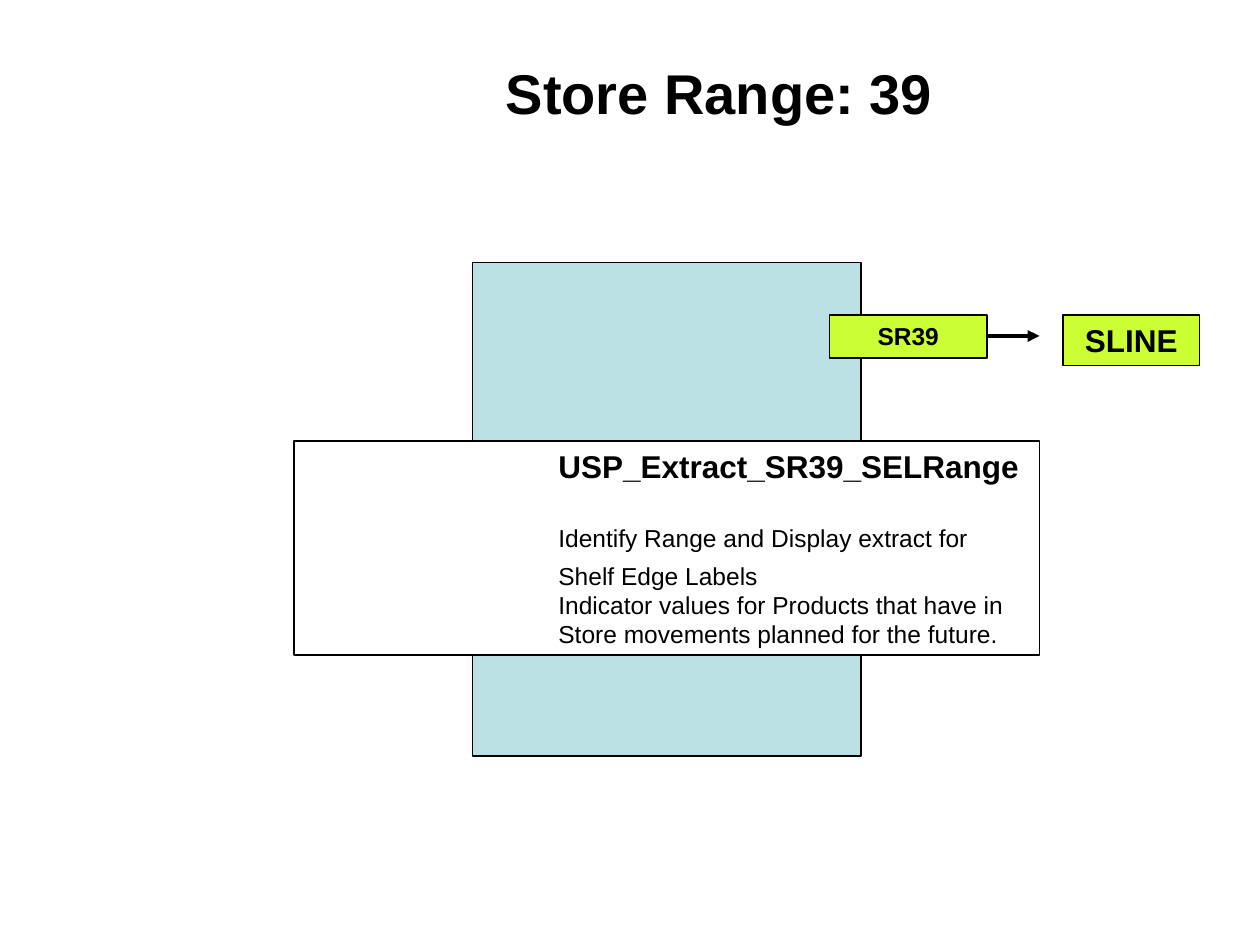
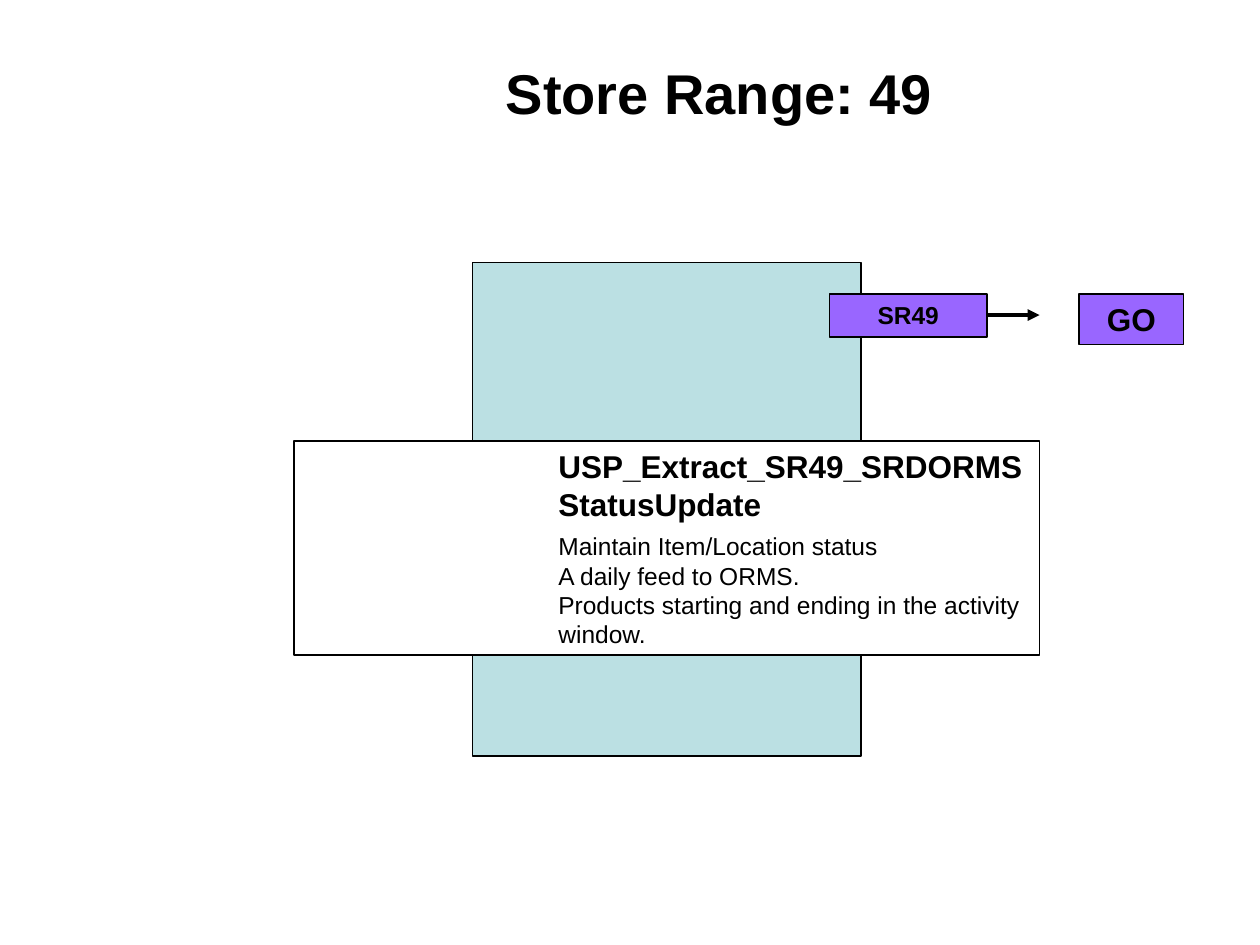
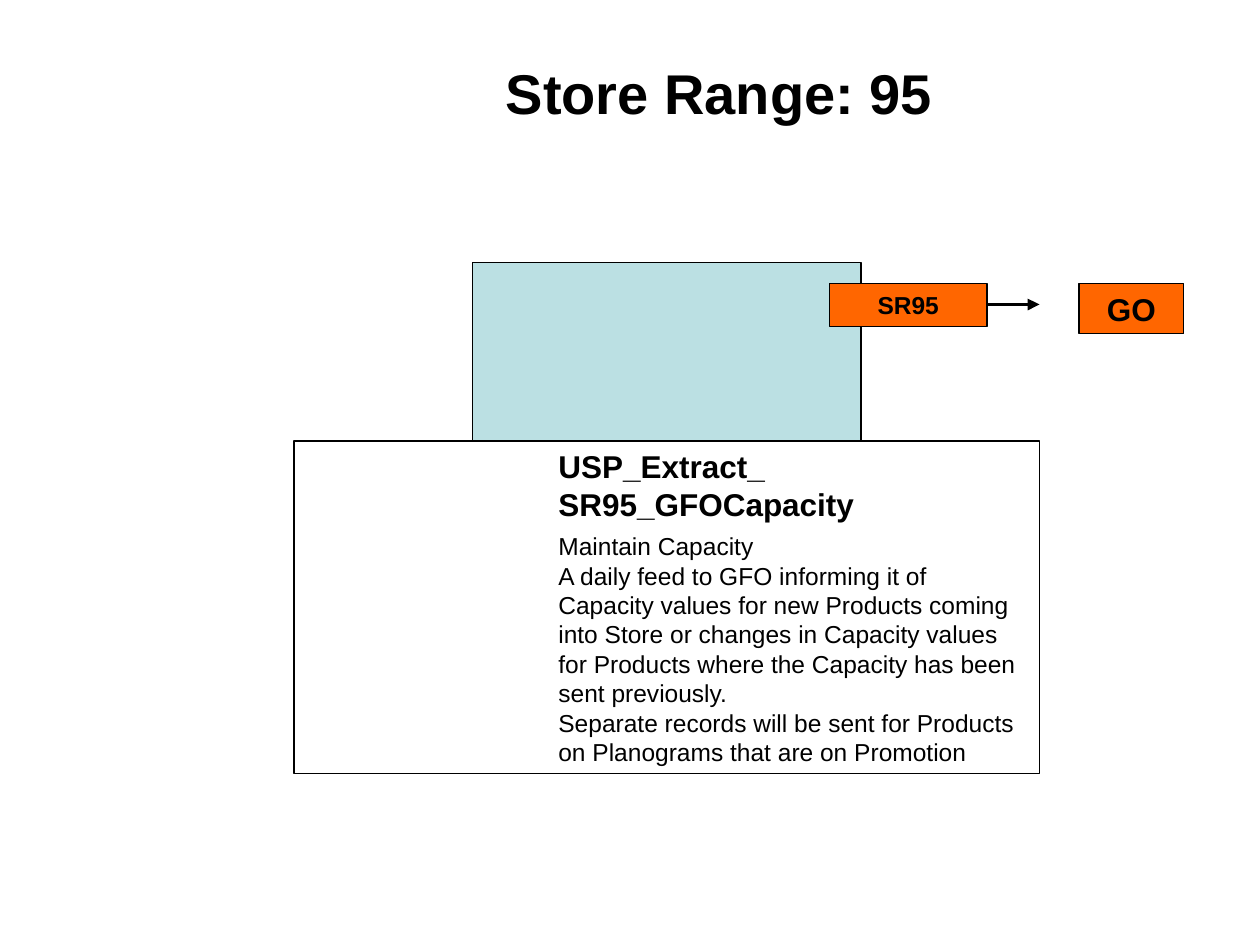
from lxml.etree import SubElement
from pptx import Presentation
from pptx.dml.color import RGBColor
from pptx.enum.shapes import MSO_CONNECTOR as Connector, MSO_SHAPE as Shape
from pptx.enum.text import MSO_ANCHOR as Anchor, PP_ALIGN as Align
from pptx.oxml.ns import qn
from pptx.util import Inches, Pt

COLUMNS, ROWS = 120, 90
UNIT = Inches(10) // COLUMNS
BLACK, WHITE, TEAL = "000000", "FFFFFF", "BBE0E3"
HEADING, BODY = 18, 14
LINE_FACTOR = 1.2
EXTRACTS = [
    {
        "number": 39, "color": "CCFF33", "row": 30,
        "target": "SLINE", "target_width": 13,
        "panel_rows": 20.4, "heading_gap": 16.8,
        "procedure": "USP_Extract_SR39_SELRange",
        "purpose": "Identify Range and Display extract for Shelf Edge Labels",
        "details": ["Indicator values for Products that have in Store movements "
                    "planned for the future."],
    },
    {
        "number": 49, "color": "9966FF", "row": 28,
        "target": "GO", "target_width": 10,
        "panel_rows": 20.4, "heading_gap": 0,
        "procedure": "USP_Extract_SR49_SRDORMSStatusUpdate",
        "purpose": "Maintain Item/Location status",
        "details": ["A daily feed to ORMS.",
                    "Products starting and ending in the activity window."],
    },
    {
        "number": 95, "color": "FF6600", "row": 27,
        "target": "GO", "target_width": 10,
        "panel_rows": 31.7, "heading_gap": 0,
        "procedure": "USP_Extract_ SR95_GFOCapacity",
        "purpose": "Maintain Capacity",
        "details": ["A daily feed to GFO informing it of Capacity values for new "
                    "Products coming into Store or changes in Capacity values for "
                    "Products where the Capacity has been sent previously.",
                    "Separate records will be sent for Products on Planograms "
                    "that are on Promotion"],
    },
]


def rgb(color):
    """Turn a hex string into a colour."""
    return RGBColor.from_string(color)


def grid(*cells):
    """Turn grid columns and rows into lengths."""
    return [round(cell * UNIT) for cell in cells]


def apply(target, values):
    """Set each attribute named in a dict."""
    for name, value in values.items():
        setattr(target, name, value)


def write(paragraph, text, size, bold=True, line_size=None, **layout):
    """Write one paragraph with a fixed line height."""
    paragraph.text = text
    apply(paragraph, {"line_spacing": Pt(LINE_FACTOR * (line_size or size)), **layout})
    apply(paragraph.font, {"name": "Arial", "size": Pt(size), "bold": bold})
    paragraph.font.color.rgb = rgb(BLACK)


def add_box(slide, cells, color):
    """Add an outlined rectangle and return its text frame."""
    shape = slide.shapes.add_shape(Shape.RECTANGLE, *grid(*cells))
    shape.shadow.inherit = False
    shape.fill.solid()
    shape.fill.fore_color.rgb = rgb(color)
    shape.line.color.rgb = rgb(BLACK)
    shape.line.width = Pt(0.75)
    apply(shape.text_frame, {"word_wrap": True, "vertical_anchor": Anchor.TOP})
    return shape.text_frame


def add_label(slide, cells, color, text, size):
    """Add a coloured box with one centred bold label."""
    frame = add_box(slide, cells, color)
    write(frame.paragraphs[0], text, size, alignment=Align.CENTER)


def add_title(slide, text):
    """Add the slide title."""
    frame = slide.shapes.add_textbox(*grid(36, 5, 65, 7.7)).text_frame
    frame.word_wrap = True
    write(frame.paragraphs[0], text, 32, alignment=Align.CENTER)


def add_arrow(slide, start, end, row):
    """Add a horizontal arrow between two columns."""
    arrow = slide.shapes.add_connector(Connector.STRAIGHT, *grid(start, row, end, row))
    arrow.line.color.rgb = rgb(BLACK)
    arrow.line.width = Pt(2.25)
    SubElement(arrow.line._get_or_add_ln(), qn("a:tailEnd"), type="triangle")
    SubElement(arrow._element.spPr, qn("a:effectLst"))


def add_panel(slide, extract):
    """Add the panel that describes the extract procedure."""
    frame = add_box(slide, (28, 42, 71, extract["panel_rows"]), WHITE)
    lines = [
        (extract["procedure"], HEADING, True, HEADING),
        (extract["purpose"], BODY, False, HEADING),
        *((detail, BODY, False, BODY) for detail in extract["details"]),
    ]
    for index, line in enumerate(lines):
        paragraph = frame.add_paragraph() if index else frame.paragraphs[0]
        properties = paragraph._p.get_or_add_pPr()
        properties.set("marL", str(Inches(2)))
        properties.set("indent", "0")
        write(paragraph, *line, alignment=Align.LEFT)
    frame.paragraphs[0].space_after = Pt(extract["heading_gap"])


def add_extract_slide(presentation, extract):
    """Add one slide for a store range extract."""
    slide = presentation.slides.add_slide(presentation.slide_layouts[6])
    number, color, row = extract["number"], extract["color"], extract["row"]
    target_width = extract["target_width"]
    add_box(slide, (45, 25, 37, 47), TEAL)
    add_arrow(slide, 83, 99, row + 2)
    add_label(slide, (79, row, 15, 4.1), color, f"SR{number}", BODY)
    target_left = 107.75 - target_width / 2
    add_label(slide, (target_left, row, target_width, 4.8), color,
              extract["target"], HEADING)
    add_title(slide, f"Store Range: {number}")
    add_panel(slide, extract)


def main():
    """Build and save the presentation."""
    presentation = Presentation()
    apply(presentation, {"slide_width": COLUMNS * UNIT, "slide_height": ROWS * UNIT})
    for extract in EXTRACTS:
        add_extract_slide(presentation, extract)
    presentation.save("out.pptx")


if __name__ == "__main__":
    main()
